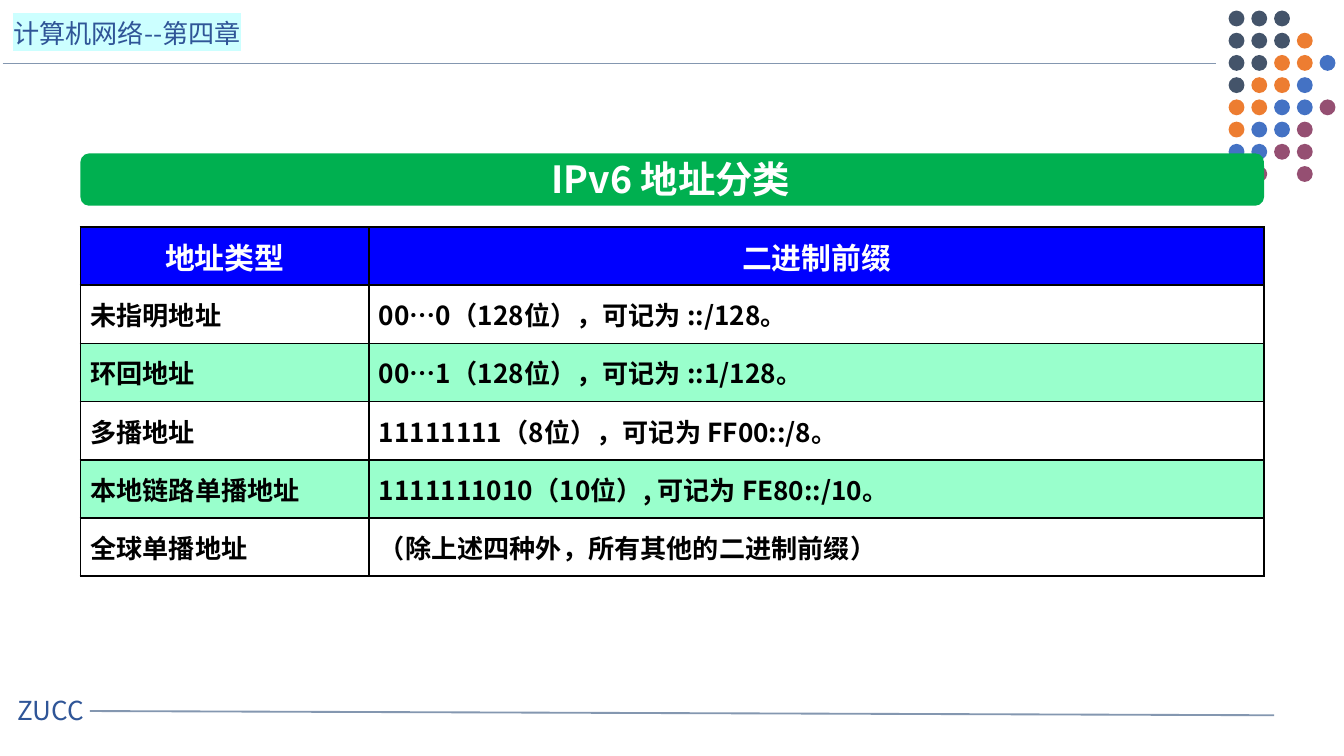
from lxml.etree import SubElement
from pptx import Presentation
from pptx.dml.color import RGBColor
from pptx.enum.shapes import MSO_CONNECTOR, MSO_SHAPE
from pptx.enum.text import MSO_ANCHOR, PP_ALIGN
from pptx.oxml import parse_xml
from pptx.oxml.ns import nsdecls, qn
from pptx.util import Cm, Pt

TITLE = "IPv6 地址分类"
CHAPTER = "计算机网络--第四章"
SCHOOL = "ZUCC"
HEADER = ("地址类型", "二进制前缀")
ROWS = [
    ("未指明地址", "00…0（128位），可记为 ::/128。"),
    ("环回地址", "00…1（128位），可记为 ::1/128。"),
    ("多播地址", "11111111（8位），可记为 FF00::/8。"),
    ("本地链路单播地址", "1111111010（10位）, 可记为 FE80::/10。"),
    ("全球单播地址", "（除上述四种外，所有其他的二进制前缀）"),
]
# One letter per dot: n navy, o orange, b blue, p plum
DOTS = ["nnn", "nnno", "nnoob", "noob", "oobbp", "obbp", "bbpp", " p p"]


class Theme:
    font = "Noto Sans CJK SC"
    title, head, body = 20, 16, 14
    white, black = "FFFFFF", "000000"
    rule, label, highlight = "8497B0", "2F5597", "CCFFFF"
    bar, header, band = "00B050", "0000FF", "99FFCC"
    dots = {"n": "44546A", "o": "ED7D31", "b": "4472C4", "p": "954F72"}


def rgb(value):
    return RGBColor.from_string(value)


def write(tf, text, size, color, bold=False, align=PP_ALIGN.LEFT):
    p = tf.paragraphs[0]
    p.text = text
    p.alignment = align
    font = p.font
    font.size, font.bold, font.name = Pt(size), bold, Theme.font
    font.color.rgb = rgb(color)
    SubElement(p._p.pPr.find(qn("a:defRPr")), qn("a:ea"), typeface=Theme.font)
    return p


def add_rule(s, x1, y1, x2, y2):
    line = s.shapes.add_connector(MSO_CONNECTOR.STRAIGHT, Cm(x1), Cm(y1), Cm(x2), Cm(y2))
    line.line.color.rgb = rgb(Theme.rule)
    line.line.width = Pt(1)
    SubElement(line._element.spPr, qn("a:effectLst"))


def add_label(s, text, x, y, w):
    tf = s.shapes.add_textbox(Cm(x), Cm(y), Cm(w), Cm(0.86)).text_frame
    tf.word_wrap = True
    return write(tf, text, Theme.body, Theme.label)


def add_solid(s, kind, x, y, w, h, color):
    sp = s.shapes.add_shape(kind, Cm(x), Cm(y), Cm(w), Cm(h))
    sp.shadow.inherit = False
    sp.fill.solid()
    sp.fill.fore_color.rgb = rgb(color)
    sp.line.fill.background()
    return sp


def add_dots(s, x, y, dx, dy, size):
    for i, row in enumerate(DOTS):
        for j, key in enumerate(row):
            if key in Theme.dots:
                add_solid(s, MSO_SHAPE.OVAL, x + j * dx, y + i * dy, size, size, Theme.dots[key])


def add_title(s, x, y, w, h):
    bar = add_solid(s, MSO_SHAPE.ROUNDED_RECTANGLE, x, y, w, h, Theme.bar)
    bar.adjustments[0] = 0.167
    title = s.shapes.title
    title.left, title.top, title.width, title.height = Cm(5.38), Cm(2.82), Cm(14.6), Cm(1.12)
    title.text_frame.vertical_anchor = MSO_ANCHOR.MIDDLE
    write(title.text_frame, TITLE, Theme.title, Theme.white, True, PP_ALIGN.CENTER)
    s.shapes._spTree.append(title._element)  # in front of the bar


def add_borders(cell):
    tcPr = cell._tc.get_or_add_tcPr()
    for side in "LRTB":
        tcPr.append(parse_xml(
            f'<a:ln{side} {nsdecls("a")} w="12700"><a:solidFill>'
            f'<a:srgbClr val="{Theme.black}"/></a:solidFill></a:ln{side}>'))


def add_address_table(s, x, y, widths, row_height):
    rows = [HEADER] + ROWS
    table = s.shapes.add_table(len(rows), len(widths), Cm(x), Cm(y), Cm(sum(widths)),
                               Cm(row_height * len(rows))).table
    for column, width in zip(table.columns, widths):
        column.width = Cm(width)
    for i, row in enumerate(rows):
        table.rows[i].height = Cm(row_height)
        for j, text in enumerate(row):
            cell = table.cell(i, j)
            cell.vertical_anchor = MSO_ANCHOR.MIDDLE
            cell.margin_left = cell.margin_right = Cm(0.19)
            cell.margin_top = cell.margin_bottom = 0
            add_borders(cell)
            if i % 2 and i > 0:
                cell.fill.background()
            else:
                cell.fill.solid()
                cell.fill.fore_color.rgb = rgb(Theme.band if i else Theme.header)
            if i:
                write(cell.text_frame, text, Theme.body, Theme.black, True, PP_ALIGN.JUSTIFY)
            else:
                write(cell.text_frame, text, Theme.head, Theme.white, True, PP_ALIGN.CENTER)


def main():
    prs = Presentation()
    prs.slide_width, prs.slide_height = Cm(25.4), Cm(14.29)
    s = prs.slides.add_slide(prs.slide_layouts[5])

    add_rule(s, 0.05, 1.2, 22.98, 1.2)
    add_rule(s, 1.7, 13.44, 24.08, 13.52)
    add_label(s, SCHOOL, 0.08, 13.0, 2.26)
    chapter = add_label(s, CHAPTER, 0, 0.2, 5.49)
    highlight = SubElement(chapter.runs[0]._r.get_or_add_rPr(), qn("a:highlight"))
    SubElement(highlight, qn("a:srgbClr"), val=Theme.highlight)

    add_dots(s, 23.22, 0.2, 0.43, 0.42, 0.3)
    add_title(s, 1.52, 2.9, 22.37, 0.99)
    add_address_table(s, 1.52, 4.29, (5.45, 16.92), 1.1)
    prs.save("out.pptx")


if __name__ == "__main__":
    main()
